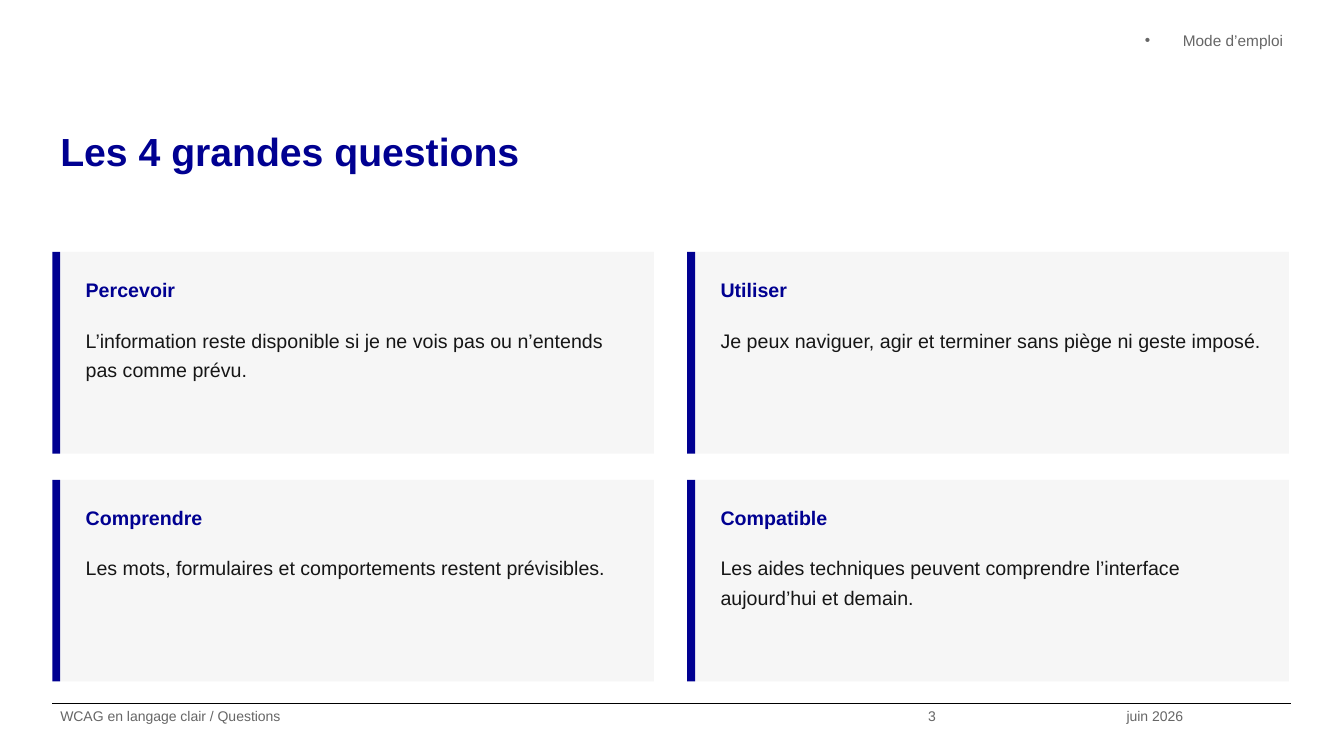
from dataclasses import dataclass

from pptx import Presentation
from pptx.dml.color import RGBColor
from pptx.enum.shapes import MSO_CONNECTOR as Connector, MSO_SHAPE as Preset
from pptx.enum.text import MSO_ANCHOR as Anchor, MSO_AUTO_SIZE as AutoSize, PP_ALIGN as Align
from pptx.oxml.xmlchemy import OxmlElement
from pptx.util import Cm, Pt

BLUE, GREY, INK, PALE, BLACK = "000091", "666666", "161616", "F6F6F6", "000000"
LEFT, RIGHT = 1.32, 32.54
FOOTER_TOP = 17.73
GRID_TOP, COLUMN_STEP, ROW_STEP = 6.35, 16.0, 5.74
BAR_WIDTH, CARD_WIDTH, CARD_HEIGHT = 0.2, 14.96, 5.08
TEXT_INDENT, TEXT_WIDTH = 0.64, 14.15


@dataclass
class Box:
    left: float
    top: float
    width: float
    height: float

    def lengths(self) -> tuple:
        return Cm(self.left), Cm(self.top), Cm(self.width), Cm(self.height)


@dataclass
class Style:
    size: float
    color: str
    bold: bool = False
    align: Align = Align.LEFT
    inset: float = 0


@dataclass
class Card:
    heading: str
    message: str


TITLE = Style(28, BLUE, bold=True)
HEADER = Style(11, GREY, align=Align.RIGHT)
FOOTER = Style(10, GREY)
HEADING = Style(14, BLUE, bold=True, inset=0.13)
MESSAGE = Style(14, INK, inset=0.13)

CARDS = [
    Card("Percevoir", "L’information reste disponible si je ne vois pas ou n’entends pas comme prévu."),
    Card("Utiliser", "Je peux naviguer, agir et terminer sans piège ni geste imposé."),
    Card("Comprendre", "Les mots, formulaires et comportements restent prévisibles."),
    Card("Compatible", "Les aides techniques peuvent comprendre l’interface aujourd’hui et demain."),
]
FOOTERS = [
    ("WCAG en langage clair / Questions", Box(LEFT, FOOTER_TOP, 21.87, 1.32)),
    ("3", Box(23.19, FOOTER_TOP, 5.0, 1.32)),
    ("juin 2026", Box(28.19, FOOTER_TOP, 4.35, 1.32)),
]


def rgb(color: str) -> RGBColor:
    return RGBColor.from_string(color)


def set_attributes(target, values: dict) -> None:
    for name, value in values.items():
        setattr(target, name, value)


def write(shape, text: str, style: Style) -> None:
    frame = shape.text_frame
    set_attributes(frame, {
        "word_wrap": True, "auto_size": AutoSize.NONE, "vertical_anchor": Anchor.TOP,
        "margin_left": Cm(0.2), "margin_right": Cm(0.2),
        "margin_top": Cm(style.inset), "margin_bottom": Cm(style.inset),
    })
    frame.text = text
    paragraph = frame.paragraphs[0]
    set_attributes(paragraph, {"alignment": style.align, "line_spacing": 1.25, "space_before": Pt(0)})
    font = paragraph.runs[0].font
    set_attributes(font, {"name": "Arial", "size": Pt(style.size), "bold": style.bold})
    font.color.rgb = rgb(style.color)


def fill_placeholder(shape, box: Box, text: str, style: Style) -> None:
    shape.left, shape.top, shape.width, shape.height = box.lengths()
    write(shape, text, style)


def add_text(slide, box: Box, text: str, style: Style) -> None:
    write(slide.shapes.add_textbox(*box.lengths()), text, style)


def add_rectangle(slide, box: Box, color: str) -> None:
    shape = slide.shapes.add_shape(Preset.RECTANGLE, *box.lengths())
    shape.shadow.inherit = False
    shape.fill.solid()
    shape.fill.fore_color.rgb = rgb(color)
    shape.line.fill.background()


def add_card(slide, card: Card, left: float, top: float) -> None:
    add_rectangle(slide, Box(left + BAR_WIDTH, top, CARD_WIDTH, CARD_HEIGHT), PALE)
    add_rectangle(slide, Box(left, top, BAR_WIDTH, CARD_HEIGHT), BLUE)
    text_left = left + TEXT_INDENT
    add_text(slide, Box(text_left, top + 0.38, TEXT_WIDTH, 1.14), card.heading, HEADING)
    add_text(slide, Box(text_left, top + 1.65, TEXT_WIDTH, 3.05), card.message, MESSAGE)


def add_rule(slide) -> None:
    rule = slide.shapes.add_connector(
        Connector.STRAIGHT, Cm(LEFT), Cm(FOOTER_TOP), Cm(RIGHT), Cm(FOOTER_TOP))
    rule.line.color.rgb = rgb(BLACK)
    rule.line.width = Pt(0.8)
    rule._element.spPr.append(OxmlElement("a:effectLst"))


def remove_bullet(shape) -> None:
    properties = shape.text_frame.paragraphs[0]._p.get_or_add_pPr()
    properties.set("marL", "0")
    properties.set("indent", "0")
    properties.append(OxmlElement("a:buNone"))


def main() -> None:
    presentation = Presentation()
    presentation.slide_width, presentation.slide_height = Cm(33.87), Cm(19.05)
    slide = presentation.slides.add_slide(presentation.slide_layouts[1])
    add_rule(slide)
    header = slide.placeholders[1]
    remove_bullet(header)
    fill_placeholder(slide.shapes.title, Box(LEFT, 2.92, 31.19, 2.67), "Les 4 grandes questions", TITLE)
    fill_placeholder(header, Box(12.27, 0.66, 20.27, 1.32), "Mode d’emploi", HEADER)
    for index, card in enumerate(CARDS):
        row, column = divmod(index, 2)
        add_card(slide, card, LEFT + column * COLUMN_STEP, GRID_TOP + row * ROW_STEP)
    for text, box in FOOTERS:
        add_text(slide, box, text, FOOTER)
    presentation.save("out.pptx")


if __name__ == "__main__":
    main()
